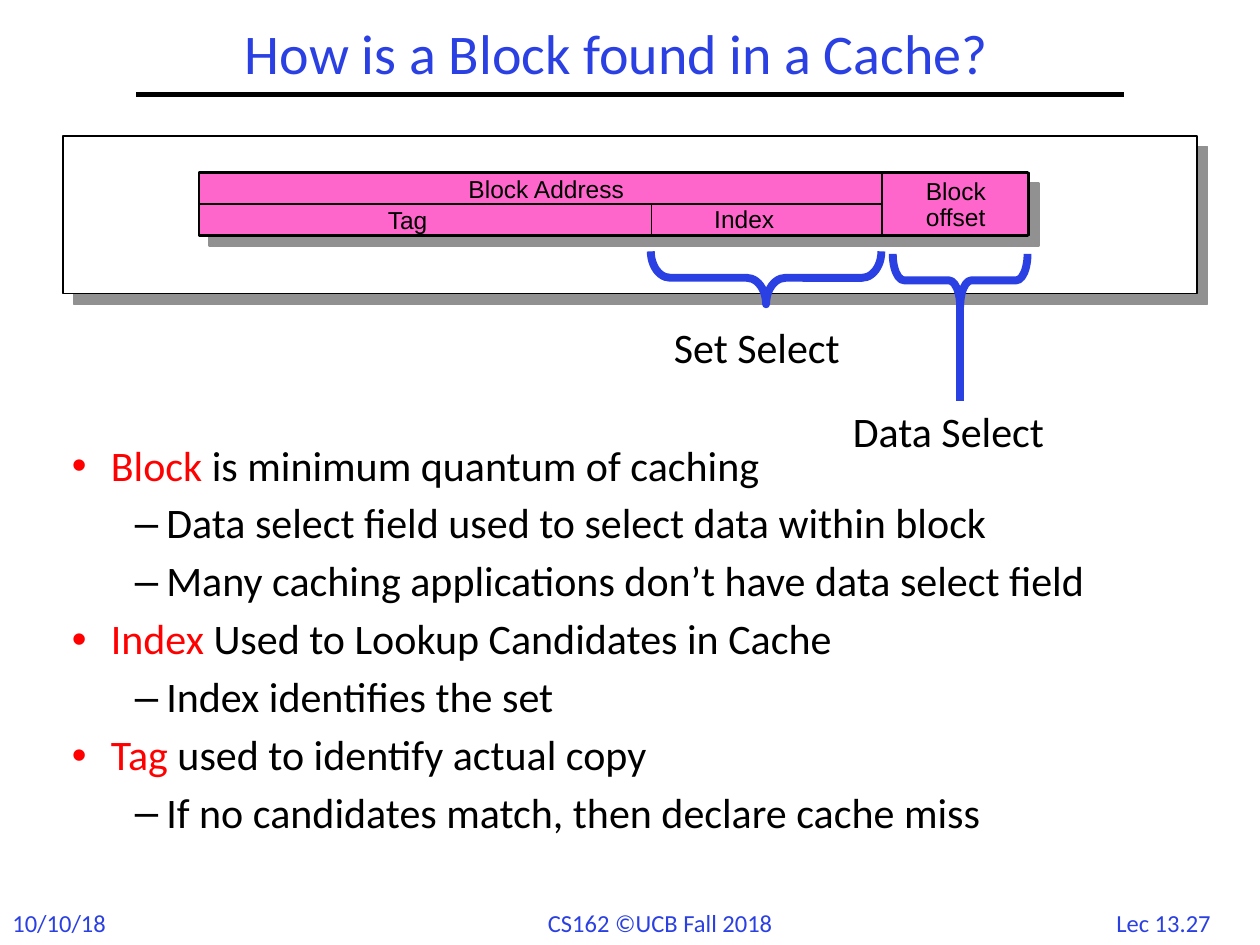
from lxml.etree import SubElement
from pptx import Presentation
from pptx.dml.color import RGBColor
from pptx.enum.shapes import MSO_CONNECTOR, MSO_SHAPE
from pptx.enum.text import MSO_ANCHOR, MSO_AUTO_SIZE, PP_ALIGN
from pptx.oxml.ns import qn
from pptx.util import Inches, Pt

BLUE, BLACK, WHITE = "2A40E2", "000000", "FFFFFF"
RED, PINK, GREY = "FF0000", "FF66CC", "919191"


def rgb(code):
    return RGBColor.from_string(code)


class Page:
    face = "Calibri"

    def __init__(self, deck):
        self.slide = deck.slides.add_slide(deck.slide_layouts[5])
        self.shapes = self.slide.shapes

    def style(self, para, size, color, face=None):
        for run in para.runs:
            run.font.name = face or self.face
            run.font.size = Pt(size)
            run.font.color.rgb = rgb(color)

    def title(self, text, x, y, w, h):
        box = self.shapes.title
        box.left, box.top, box.width, box.height = map(Inches, (x, y, w, h))
        frame = box.text_frame
        frame.text = text
        frame.auto_size = MSO_AUTO_SIZE.NONE
        frame.vertical_anchor = MSO_ANCHOR.MIDDLE
        para = frame.paragraphs[0]
        para.alignment = PP_ALIGN.CENTER
        para.line_spacing = 0.9
        self.style(para, 32, BLUE)

    def label(self, text, x, y, w, h, size, color=BLACK, face=None,
              align=PP_ALIGN.LEFT, space=1.0):
        box = self.shapes.add_textbox(*map(Inches, (x, y, w, h)))
        frame = box.text_frame
        frame.text = text
        frame.word_wrap = False
        for para in frame.paragraphs:
            para.alignment = align
            para.line_spacing = space
            self.style(para, size, color, face)

    def bullets(self, items, x, y, w, h):
        box = self.shapes.add_textbox(*map(Inches, (x, y, w, h)))
        frame = box.text_frame
        frame.word_wrap = True
        frame.margin_left = frame.margin_right = Inches(0.07)
        frame.margin_top = frame.margin_bottom = Inches(0.03)
        for i, (key, rest) in enumerate(items):
            para = frame.add_paragraph() if i else frame.paragraphs[0]
            para.level = 0 if key else 1
            mark, left, hang = ("•", 0.31, 0.31) if key else ("–", 0.75, 0.25)
            props = para._p.get_or_add_pPr()
            props.set("marL", str(Inches(left)))
            props.set("indent", str(-Inches(hang)))
            para.line_spacing = 0.9
            para.space_before = Pt(7.2 if i else 0)
            SubElement(props, qn("a:buFont"), typeface="Arial")
            SubElement(props, qn("a:buChar"), char=mark)
            for part in filter(None, (key, rest)):
                para.add_run().text = part
            self.style(para, 24, BLACK)
            if key:
                para.runs[0].font.color.rgb = rgb(RED)

    def rect(self, x, y, w, h, fill=None, width=1, shade=False):
        box = self.shapes.add_shape(MSO_SHAPE.RECTANGLE,
                                    *map(Inches, (x, y, w, h)))
        if fill:
            box.fill.solid()
            box.fill.fore_color.rgb = rgb(fill)
        else:
            box.fill.background()
        box.line.color.rgb = rgb(BLACK)
        box.line.width = Pt(width)
        box.shadow.inherit = False
        if shade:
            effects = box._element.spPr.find(qn("a:effectLst"))
            cast = SubElement(effects, qn("a:outerShdw"), blurRad="0",
                              dist=str(Pt(8.5)), dir="2700000",
                              algn="ctr", rotWithShape="0")
            SubElement(cast, qn("a:srgbClr"), val=GREY)

    def brace(self, x, y, w, h, bend):
        # A right brace turned a quarter so that its tip points down
        mark = self.shapes.add_shape(MSO_SHAPE.RIGHT_BRACE,
                                     *map(Inches, (x, y, w, h)))
        mark.rotation = 90
        mark.adjustments[0] = bend
        mark.fill.background()
        mark.line.color.rgb = rgb(BLUE)
        mark.line.width = Pt(4.5)
        mark.shadow.inherit = False

    def line(self, x1, y1, x2, y2, color, width):
        rule = self.shapes.add_connector(MSO_CONNECTOR.STRAIGHT,
                                         *map(Inches, (x1, y1, x2, y2)))
        rule.line.color.rgb = rgb(color)
        rule.line.width = Pt(width)
        SubElement(rule._element.spPr, qn("a:effectLst"))


def main():
    deck = Presentation()
    deck.slide_width, deck.slide_height = Inches(10), Inches(7.5)
    page = Page(deck)

    # Title and rule
    page.title("How is a Block found in a Cache?", 0.84, 0.25, 8.11, 0.4)
    page.line(1.08, 0.75, 8.92, 0.75, BLACK, 3)

    # Footer, with the date box wide enough for one line
    page.label("10/10/18", 0, 7.16, 1.1, 0.34, 14, BLUE)
    page.label("CS162 ©UCB Fall 2018", 4.25, 7.16, 2.08, 0.34, 14, BLUE)
    page.label("Lec 13.27", 8.72, 7.16, 1.03, 0.34, 14, BLUE,
               align=PP_ALIGN.CENTER)

    # Points
    page.bullets([
        ("Block", " is minimum quantum of caching"),
        ("", "Data select field used to select data within block"),
        ("", "Many caching applications don’t have data select field"),
        ("Index", " Used to Lookup Candidates in Cache"),
        ("", "Index identifies the set"),
        ("Tag", " used to identify actual copy"),
        ("", "If no candidates match, then declare cache miss"),
    ], 0.5, 3.5, 9.08, 3.33)

    # Address layout: frame, whole address, then its fields
    page.rect(0.5, 1.08, 9, 1.25, WHITE, shade=True)
    page.rect(1.58, 1.37, 6.58, 0.5, PINK, 1.5, shade=True)
    page.rect(1.58, 1.62, 5.42, 0.25)
    page.rect(5.17, 1.62, 1.83, 0.25)
    page.rect(7, 1.37, 1.17, 0.5)
    for text, x, y, w, h, space in [
        ("Block\noffset", 7.25, 1.37, 0.68, 0.52, 0.9),
        ("Block Address", 3.62, 1.33, 1.44, 0.33, 1.0),
        ("Tag", 2.98, 1.58, 0.53, 0.33, 1.0),
        ("Index", 5.57, 1.57, 0.68, 0.33, 1.0),
    ]:
        page.label(text, x, y, w, h, 14, face="Arial", space=space)

    # Braces and what they select
    page.brace(5.87, 1.29, 0.42, 1.83, 0.367)
    page.label("Set Select", 5.25, 2.5, 1.53, 0.51, 24)
    page.brace(7.41, 1.69, 0.42, 1.07, 0.214)
    page.label("Data Select", 6.67, 3.17, 1.76, 0.51, 24)
    page.line(7.62, 2.43, 7.62, 3.18, BLUE, 4.5)

    deck.save("out.pptx")


if __name__ == "__main__":
    main()
